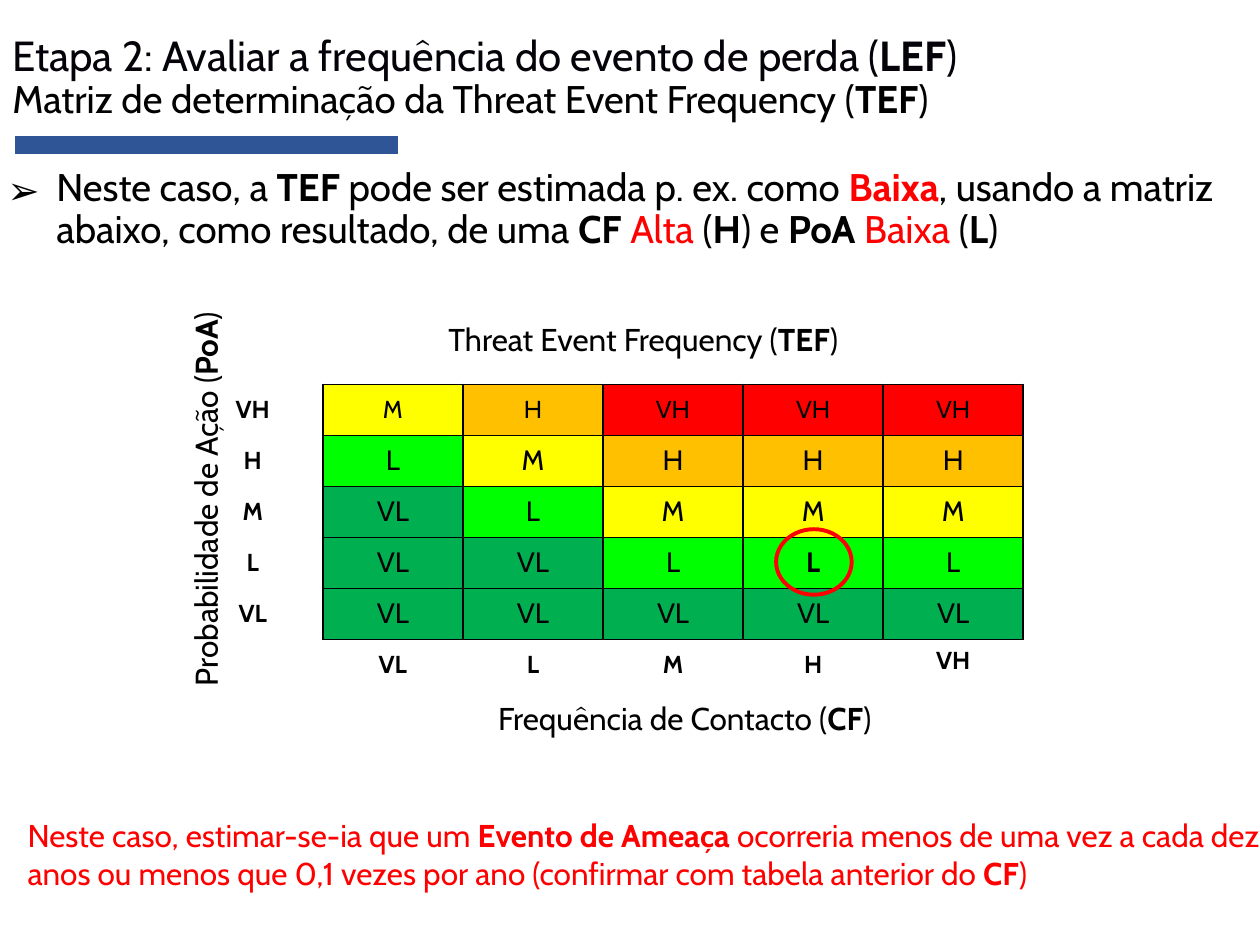
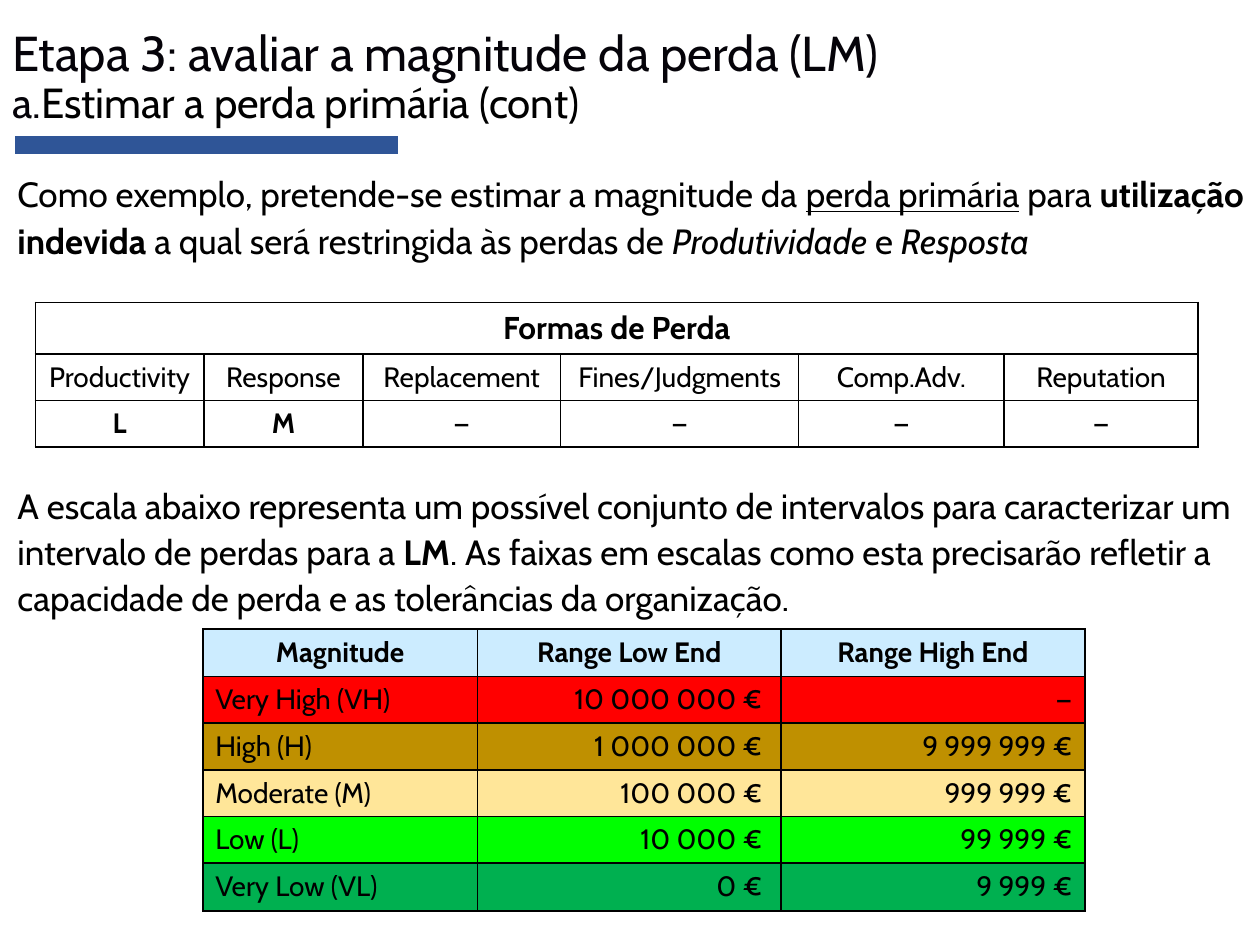
from lxml.etree import SubElement
from pptx import Presentation
from pptx.dml.color import RGBColor
from pptx.enum.shapes import MSO_CONNECTOR, MSO_SHAPE
from pptx.enum.text import MSO_ANCHOR, PP_ALIGN
from pptx.oxml.ns import qn
from pptx.util import Inches, Pt

FONT = "Cabin"
BLACK, TITLE_INK, RED, BAND_BLUE = "000000", "050309", "FF0000", "2F5597"
GREEN, LIME, HEADER_BLUE = "00B050", "00FF00", "CCECFF"
LEVEL_FILLS = {"VL": GREEN, "L": LIME, "M": "FFFF00", "H": "FFC000", "VH": RED}
LEVELS = list(LEVEL_FILLS)
CENTER, LEFT, RIGHT = PP_ALIGN.CENTER, PP_ALIGN.LEFT, PP_ALIGN.RIGHT

TEF_ROWS = {
    "VH": "M H VH VH VH",
    "H": "L M H H H",
    "M": "VL L M M M",
    "L": "VL VL L L L",
    "VL": "VL VL VL VL VL",
}
CHOSEN_CELL = ("L", "H")
LOSS_FORMS = [
    ("Productivity", "L", 13.4),
    ("Response", "M", 12.6),
    ("Replacement", "—", 15.7),
    ("Fines/Judgments", "—", 18.9),
    ("Comp.Adv.", "—", 16.3),
    ("Reputation", "—", 15.4),
]
MAGNITUDE_HEADERS = ["Magnitude", "Range Low End", "Range High End"]
MAGNITUDES = [
    ("Very High (VH)", "10 000 000 €", "—", RED),
    ("High (H)", "1 000 000 €", "9 999 999 €", "BF9000"),
    ("Moderate (M)", "100 000 €", "999 999 €", "FFE699"),
    ("Low (L)", "10 000 €", "99 999 €", LIME),
    ("Very Low (VL)", "0 €", "9 999 €", GREEN),
]


def grid(*units):
    """Turn units of a 100 by 75 slide grid into lengths."""
    return [Inches(unit / 10) for unit in units]


def color(hex_string):
    """Return the colour for a hex string."""
    return RGBColor.from_string(hex_string)


def bold(text, **style):
    """Describe a bold run."""
    return text, {"bold": True, **style}


def write(paragraph, runs, size, ink=BLACK, align=LEFT, spacing=None):
    """Fill a paragraph run by run; a newline becomes a line break."""
    paragraph.alignment = align
    if spacing:
        paragraph.line_spacing = spacing
    for item in runs:
        text, style = (item, {}) if isinstance(item, str) else item
        if text == "\n":
            paragraph.add_line_break()
            continue
        run = paragraph.add_run()
        run.text = text
        font = run.font
        font.name = FONT
        font.size = Pt(style.get("size", size))
        font.color.rgb = color(style.get("ink", ink))
        font.bold = style.get("bold", False)
        font.italic = style.get("italic", False)
        font.underline = style.get("underline", False)


def add_text(slide, place, paragraphs, size, wrap=True, anchor=MSO_ANCHOR.TOP, **style):
    """Add a text box holding one or more paragraphs of runs."""
    shape = slide.shapes.add_textbox(*grid(*place))
    frame = shape.text_frame
    frame.word_wrap = wrap
    frame.vertical_anchor = anchor
    for index, runs in enumerate(paragraphs):
        paragraph = frame.add_paragraph() if index else frame.paragraphs[0]
        write(paragraph, runs, size, **style)
    return shape


def add_axis_title(slide, place, name, code, rotation=0):
    """Add a matrix axis title with its code in bold."""
    runs = [f"{name} (", bold(code), ")"]
    shape = add_text(slide, place, [runs], 18, wrap=False, align=CENTER)
    shape.rotation = rotation


def add_arrow_bullet(paragraph):
    """Give a paragraph an arrow bullet with a hanging indent."""
    properties = paragraph._p.get_or_add_pPr()
    indent = Inches(0.39)
    properties.set("marL", str(indent))
    properties.set("indent", str(-indent))
    SubElement(properties, qn("a:buFont"), typeface="Noto Sans Symbols")
    SubElement(properties, qn("a:buChar"), char="➢")


def add_titled_slide(presentation, title, size):
    """Add a blank slide with the title and the blue band."""
    slide = presentation.slides.add_slide(presentation.slide_layouts[6])
    band = slide.shapes.add_connector(
        MSO_CONNECTOR.STRAIGHT, *grid(1.2, 11.5, 31.6, 11.5)
    )
    band.line.color.rgb = color(BAND_BLUE)
    band.line.width = Pt(10)
    SubElement(band._element.spPr, qn("a:effectLst"))
    add_text(slide, (0, 0.2, 100, 12.1), [title], size,
             anchor=MSO_ANCHOR.MIDDLE, ink=TITLE_INK, spacing=0.9)
    return slide


def add_plain_table(slide, left, top, columns, rows):
    """Add an unbanded table with the given column widths and row heights."""
    place = grid(left, top, sum(columns), sum(rows))
    table = slide.shapes.add_table(len(rows), len(columns), *place).table
    table.first_row = table.horz_banding = False
    for column, width in zip(table.columns, grid(*columns)):
        column.width = width
    for row, height in zip(table.rows, grid(*rows)):
        row.height = height
    return table


def set_cell(cell, text, size=16, is_bold=False, fill=None, align=CENTER, sides="LRTB"):
    """Write a cell and set its borders and fill."""
    cell.vertical_anchor = MSO_ANCHOR.MIDDLE
    properties = cell._tc.get_or_add_tcPr()
    for side in "LRTB":
        line = SubElement(properties, qn(f"a:ln{side}"), w=str(Pt(1)))
        if side in sides:
            solid = SubElement(line, qn("a:solidFill"))
            SubElement(solid, qn("a:srgbClr"), val=BLACK)
        else:
            SubElement(line, qn("a:noFill"))
    if fill:
        cell.fill.solid()
        cell.fill.fore_color.rgb = color(fill)
    else:
        cell.fill.background()
    if text:
        write(cell.text_frame.paragraphs[0], [(text, {"bold": is_bold})], size, align=align)


def add_tef_matrix(slide):
    """Add the matrix with its level labels on the left and below."""
    table = add_plain_table(slide, 14.5, 30.5, [11.12] * 6, [4.05] * 6)
    for row, (action, levels) in enumerate(TEF_ROWS.items()):
        set_cell(table.cell(row, 0), action, 14, True, sides="R")
        for column, (contact, level) in enumerate(zip(LEVELS, levels.split()), 1):
            set_cell(table.cell(row, column), level, 16 if row else 14,
                     (action, contact) == CHOSEN_CELL, LEVEL_FILLS[level])
    set_cell(table.cell(5, 0), "", sides="")
    for column, contact in enumerate(LEVELS, 1):
        set_cell(table.cell(5, column), contact, 14, True, sides="T")
    table.cell(5, 5).vertical_anchor = MSO_ANCHOR.TOP


def add_choice_ring(slide):
    """Ring the chosen matrix cell."""
    ring = slide.shapes.add_shape(MSO_SHAPE.OVAL, *grid(61.6, 42, 6, 5.2))
    ring.shadow.inherit = False
    ring.fill.background()
    ring.line.color.rgb = color(RED)
    ring.line.width = Pt(2.25)


def add_loss_forms(slide):
    """Add the table of loss forms under one merged heading."""
    widths = [width for _, _, width in LOSS_FORMS]
    table = add_plain_table(slide, 2.8, 24, widths, [4.1, 3.7, 3.7])
    for column, (form, level, _) in enumerate(LOSS_FORMS):
        set_cell(table.cell(0, column), "" if column else "Formas de Perda", 18, True)
        set_cell(table.cell(1, column), form)
        set_cell(table.cell(2, column), level, is_bold=level != "—")
    table.cell(0, 0).merge(table.cell(0, len(widths) - 1))


def add_magnitude_scale(slide):
    """Add the scale of loss ranges."""
    heights = [3.8] + [3.7] * 4 + [3.8]
    table = add_plain_table(slide, 16.1, 49.9, [21.8, 24.1, 24.1], heights)
    for column, header in enumerate(MAGNITUDE_HEADERS):
        set_cell(table.cell(0, column), header, is_bold=True, fill=HEADER_BLUE)
    for row, (*values, fill) in enumerate(MAGNITUDES, 1):
        for column, value in enumerate(values):
            set_cell(table.cell(row, column), value, fill=fill,
                     align=RIGHT if column else LEFT)
        table.cell(row, 1).margin_right = Inches(0.15)


def build_frequency_slide(presentation):
    """Build the slide on the threat event frequency."""
    title = ["Etapa 2: Avaliar a frequência do evento de perda (", bold("LEF"), ")", "\n",
             ("Matriz de determinação da Threat Event Frequency (", {"size": 22, "ink": BLACK}),
             bold("TEF", size=22, ink=BLACK), (")", {"size": 22, "ink": BLACK})]
    slide = add_titled_slide(presentation, title, 24)
    estimate = ["Neste caso, a ", bold("TEF"), " pode ser estimada p. ex. como ",
                bold("Baixa", ink=RED),
                ", usando a matriz abaixo, como resultado, de uma ",
                bold("CF "), ("Alta", {"ink": RED}), " (", bold("H"), ") e ",
                bold("PoA "), ("Baixa", {"ink": RED}), " (", bold("L"), ")"]
    body = add_text(slide, (-0.4, 12.9, 101.6, 8), [estimate], 22, spacing=0.9)
    add_arrow_bullet(body.text_frame.paragraphs[0])
    conclusion = [
        ["Neste caso, estimar-se-ia que um ", bold("Evento de Ameaça "),
         "ocorreria menos de uma vez a cada dez"],
        ["anos ou menos que 0,1 vezes por ano (confirmar com tabela anterior do ",
         bold("CF"), ")"],
    ]
    note = add_text(slide, (1.2, 64.3, 98.8, 7.1), conclusion, 18, wrap=False, ink=RED)
    note.text_frame.margin_right = 0
    add_tef_matrix(slide)
    add_axis_title(slide, (38.2, 55, 32.3, 4), "Frequência de Contacto", "CF")
    add_axis_title(slide, (0, 37.6, 32.6, 4), "Probabilidade de Ação", "PoA", 270)
    add_axis_title(slide, (34.3, 24.9, 33.5, 4), "Threat Event Frequency", "TEF")
    add_choice_ring(slide)


def build_magnitude_slide(presentation):
    """Build the slide on the primary loss magnitude."""
    title = ["Etapa 3: avaliar a magnitude da perda (LM)", "\n", ("a.", {"size": 24}),
             ("Estimar a perda primária (cont)", {"size": 24, "ink": BLACK})]
    slide = add_titled_slide(presentation, title, 28)
    example = ["Como exemplo, pretende-se estimar a magnitude da ",
               ("perda primária", {"underline": True}), " para ",
               bold("utilização indevida "), "a qual será restringida às perdas de ",
               ("Produtividade", {"italic": True}), " e ", ("Resposta", {"italic": True})]
    scale = ["A escala abaixo representa um possível conjunto de intervalos para "
             "caracterizar um intervalo de perdas para a ", bold("LM"),
             ". As faixas em escalas como esta precisarão refletir a capacidade de "
             "perda e as tolerâncias da organização."]
    add_text(slide, (0.4, 12.9, 99.6, 9), [example], 20, spacing=1.1)
    add_text(slide, (0.4, 37.6, 99.6, 12), [scale], 20, spacing=1.1)
    add_loss_forms(slide)
    add_magnitude_scale(slide)


def main():
    """Build and save the presentation."""
    presentation = Presentation()
    presentation.slide_width, presentation.slide_height = grid(100, 75)
    build_frequency_slide(presentation)
    build_magnitude_slide(presentation)
    presentation.save("out.pptx")


if __name__ == "__main__":
    main()
